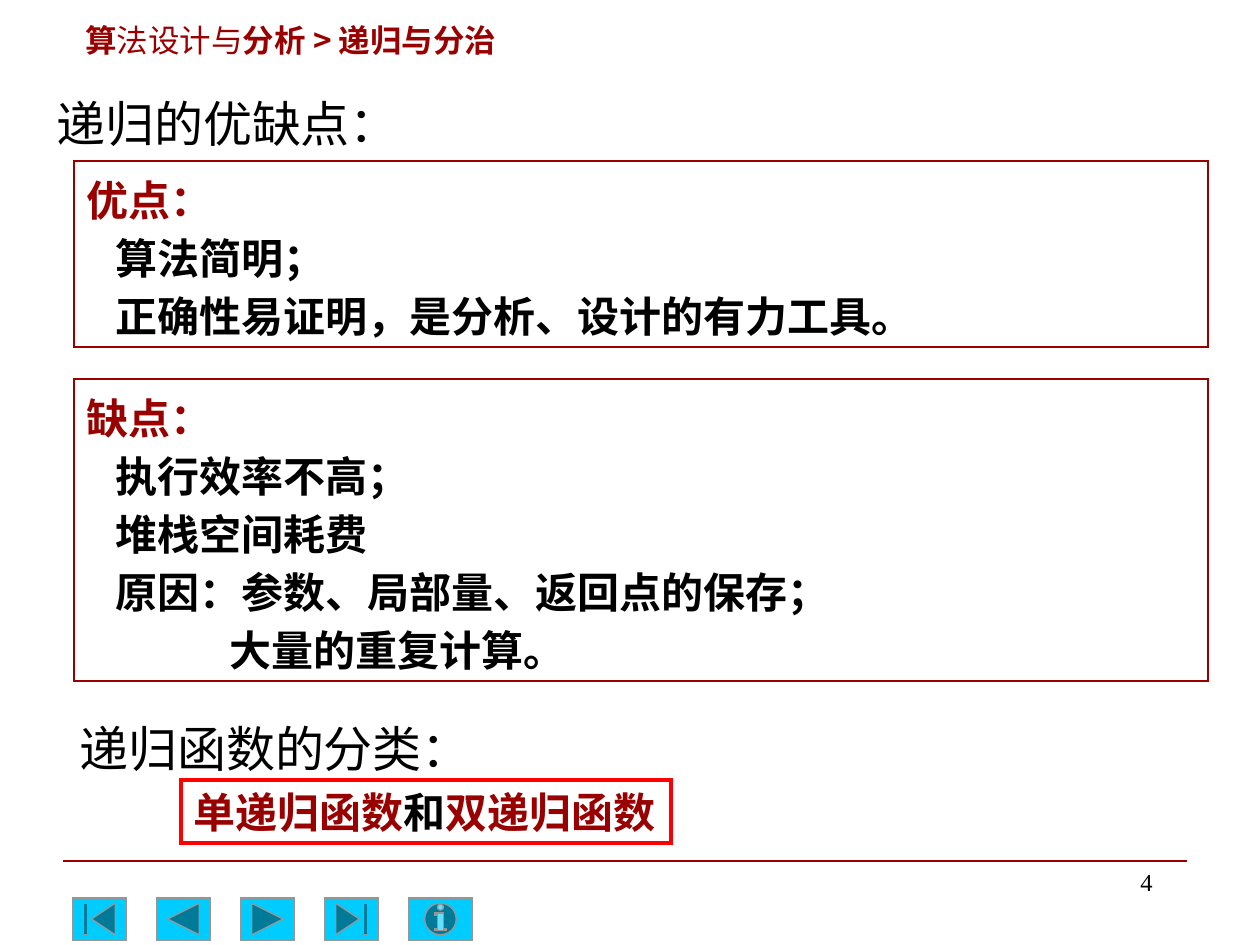
import pptx
import pptx.util
import pptx.dml.color
import pptx.enum.shapes
import pptx.enum.text
import pptx.oxml.ns
import lxml.etree
from dataclasses import dataclass

EMU_PER_PX = 914400 / 126
SHAPES = pptx.enum.shapes.MSO_SHAPE
ALIGN = pptx.enum.text.PP_ALIGN


@dataclass(frozen=True)
class Theme:
    dark_red: str = "990000"
    red: str = "FF0000"
    black: str = "000000"
    white: str = "FFFFFF"
    cyan: str = "00CCFF"
    grey: str = "969696"
    sans: str = "Noto Sans CJK SC"
    serif: str = "Times New Roman"
    heading_size: int = 28
    body_size: int = 24
    trail_size: int = 18
    number_size: int = 14


THEME = Theme()


def px(length):
    return pptx.util.Emu(round(length * EMU_PER_PX))


def rgb(value):
    return pptx.dml.color.RGBColor.from_string(value)


def set_font(font, size, color, name=THEME.sans, bold=False):
    font.size = pptx.util.Pt(size)
    font.bold = bold
    font.color.rgb = rgb(color)
    font.name = name
    # East Asian glyphs need their own typeface entry, right after latin
    latin = font._element.find(pptx.oxml.ns.qn("a:latin"))
    east_asian = lxml.etree.Element(pptx.oxml.ns.qn("a:ea"), typeface=THEME.sans)
    latin.addnext(east_asian)


def style_shape(shape, line, width, fill=None):
    shape.shadow.inherit = False
    if fill:
        shape.fill.solid()
        shape.fill.fore_color.rgb = rgb(fill)
    else:
        shape.fill.background()
    shape.line.color.rgb = rgb(line)
    shape.line.width = pptx.util.Pt(width)
    # Square corners on the outline
    outline = shape._element.spPr.find(pptx.oxml.ns.qn("a:ln"))
    lxml.etree.SubElement(outline, pptx.oxml.ns.qn("a:miter"), lim="800000")


def prepare_frame(shape, wrap=True, grow=True):
    frame = shape.text_frame
    frame.word_wrap = wrap
    frame.vertical_anchor = pptx.enum.text.MSO_ANCHOR.TOP
    if grow:
        frame.auto_size = pptx.enum.text.MSO_AUTO_SIZE.SHAPE_TO_FIT_TEXT
    return frame


def write_para(para, spans, spacing=None, indent=0, align=ALIGN.LEFT):
    """Fill a paragraph with (text, run overrides) spans."""
    para.alignment = align
    para.line_spacing = spacing
    if indent:
        properties = para._p.get_or_add_pPr()
        properties.set("marL", str(px(indent)))
        properties.set("indent", "0")
    for text, overrides in spans:
        span = para.add_run()
        span.text = text
        if "color" in overrides:
            span.font.color.rgb = rgb(overrides["color"])
        if "bold" in overrides:
            span.font.bold = overrides["bold"]


def add_heading(page, text, left, top, width):
    box = page.shapes.add_textbox(px(left), px(top), px(width), px(83))
    para = prepare_frame(box, wrap=False).paragraphs[0]
    set_font(para.font, THEME.heading_size, THEME.black, THEME.serif)
    write_para(para, [(text, {})], spacing=1.2)


def add_panel(page, top, height, title, lines):
    """Framed list: a red title, then (indent, text) lines."""
    panel = page.shapes.add_shape(SHAPES.RECTANGLE, px(74), px(top), px(1134), px(height))
    style_shape(panel, THEME.dark_red, 1.5)
    frame = prepare_frame(panel)
    for number, (indent, text) in enumerate([(0, title)] + lines):
        para = frame.add_paragraph() if number else frame.paragraphs[0]
        color = THEME.black if number else THEME.dark_red
        set_font(para.font, THEME.body_size, color, bold=True)
        write_para(para, [(text, {})], spacing=1.15, indent=indent)


def add_trail(page):
    box = page.shapes.add_textbox(px(73), px(0), px(840), px(66))
    para = prepare_frame(box).paragraphs[0]
    set_font(para.font, THEME.trail_size, THEME.dark_red, bold=True)
    spans = [("算", {}), ("法设计与", {"bold": False}), ("分析 > 递归与分治", {})]
    write_para(para, spans, spacing=1.4)


def add_kinds(page):
    # Wide enough for eleven full-width glyphs plus both insets
    box = page.shapes.add_shape(SHAPES.RECTANGLE, px(181), px(780), px(490), px(63))
    style_shape(box, THEME.red, 2, THEME.white)
    para = prepare_frame(box, wrap=False).paragraphs[0]
    set_font(para.font, THEME.body_size, THEME.dark_red, bold=True)
    write_para(para, [("单递归函数", {}), ("和", {"color": THEME.black}), ("双递归函数", {})])


def add_rule(page):
    rule = page.shapes.add_connector(
        pptx.enum.shapes.MSO_CONNECTOR.STRAIGHT, px(63), px(861), px(1187), px(861))
    rule.line.color.rgb = rgb(THEME.dark_red)
    rule.line.width = pptx.util.Pt(0.75)
    lxml.etree.SubElement(rule._element.spPr, pptx.oxml.ns.qn("a:effectLst"))


def add_page_number(page, number):
    box = page.shapes.add_textbox(px(903), px(861), px(262), px(63))
    para = prepare_frame(box, grow=False).paragraphs[0]
    set_font(para.font, THEME.number_size, THEME.black, THEME.serif)
    para.space_before = pptx.util.Pt(8.8)
    write_para(para, [(str(number), {})], align=ALIGN.RIGHT)


def add_navigation(page):
    buttons = [
        (SHAPES.ACTION_BUTTON_BEGINNING, 53),
        (SHAPES.ACTION_BUTTON_BACK_OR_PREVIOUS, 53),
        (SHAPES.ACTION_BUTTON_FORWARD_OR_NEXT, 53),
        (SHAPES.ACTION_BUTTON_END, 53),
        (SHAPES.ACTION_BUTTON_INFORMATION, 63),
    ]
    for index, (kind, width) in enumerate(buttons):
        button = page.shapes.add_shape(kind, px(73 + 84 * index), px(898), px(width), px(42))
        style_shape(button, THEME.grey, 0.75, THEME.cyan)


def main():
    deck = pptx.Presentation()
    deck.slide_width, deck.slide_height = px(1260), px(945)
    page = deck.slides.add_slide(deck.slide_layouts[6])

    # Footer
    add_page_number(page, 4)
    add_navigation(page)
    add_rule(page)

    # Header trail
    add_trail(page)

    # Strengths and weaknesses
    add_heading(page, "递归的优缺点：", 44, 76, 368)
    add_panel(page, 161, 186, "优点：", [
        (29, "算法简明；"),
        (29, "正确性易证明，是分析、设计的有力工具。"),
    ])
    add_panel(page, 379, 302, "缺点：", [
        (29, "执行效率不高；"),
        (29, "堆栈空间耗费"),
        (29, "原因：参数、局部量、返回点的保存；"),
        (143, "大量的重复计算。"),
    ])

    # Kinds of recursive function
    add_kinds(page)
    add_heading(page, "递归函数的分类：", 67, 701, 416)

    deck.save("out.pptx")


if __name__ == "__main__":
    main()
